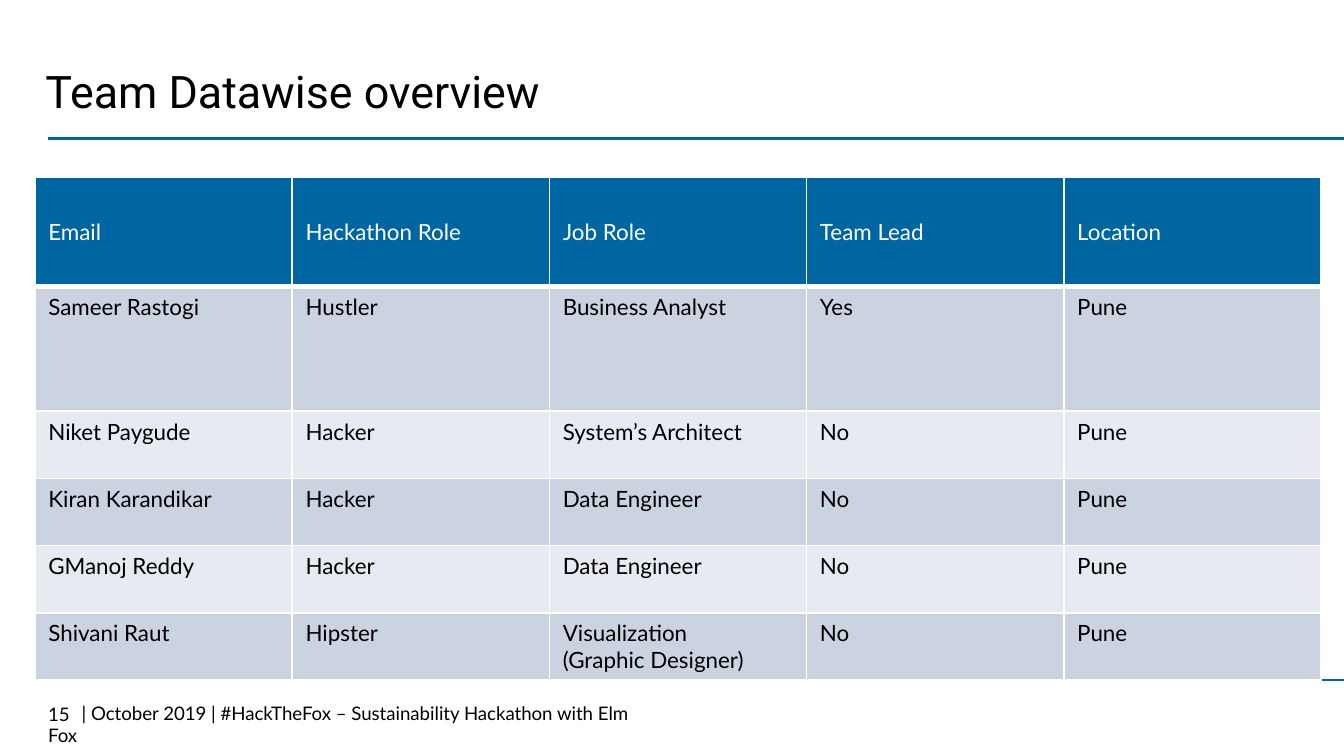
import dataclasses

import lxml.etree
import pptx
import pptx.dml.color
import pptx.enum.shapes
import pptx.enum.text
import pptx.oxml.ns
import pptx.util

Inches = pptx.util.Inches
Pt = pptx.util.Pt
Anchor = pptx.enum.text.MSO_ANCHOR
qn = pptx.oxml.ns.qn

SLIDE_WIDTH = 10
SLIDE_HEIGHT = SLIDE_WIDTH * 9 / 16
HEADERS = ["Email", "Hackathon Role", "Job Role", "Team Lead", "Location"]
MEMBERS = [
    ["Sameer Rastogi", "Hustler", "Business Analyst", "Yes", "Pune"],
    ["Niket Paygude", "Hacker", "System’s Architect", "No", "Pune"],
    ["Kiran Karandikar", "Hacker", "Data Engineer", "No", "Pune"],
    ["GManoj Reddy", "Hacker", "Data Engineer", "No", "Pune"],
    ["Shivani Raut", "Hipster", "Visualization\n(Graphic Designer)", "No", "Pune"],
]
ROW_HEIGHTS = [0.81, 0.93] + [0.5] * 4
TABLE_WIDTH = 9.57
COLUMN_WIDTH = TABLE_WIDTH / len(HEADERS)
HEADER_FILL = "0066A1"
BAND_FILLS = ["CCD3E0", "E7EAF0"]


@dataclasses.dataclass
class Label:
    text: str
    left: float
    top: float
    width: float
    height: float
    size: float = 10
    font: str = "Lato"
    anchor: Anchor = Anchor.MIDDLE
    indent: float = 0
    right_margin: float = 0.1


@dataclasses.dataclass
class Rule:
    left: float
    right: float
    y: float


LABELS = [
    Label("| October 2019 | #HackTheFox – Sustainability Hackathon with Elm Fox",
          0.26, 5.17, 4.53, 0.27, anchor=Anchor.TOP, indent=0.25, right_margin=0),
    Label("15", 0.26, 5.19, 0.49, 0.24),
    Label("Team Datawise overview", 0.24, 0.28, 9.57, 0.79, size=24, font="Roboto"),
]
RULES = [Rule(0.36, 10, 5.06), Rule(0.36, 10.01, 1.03)]


def color(value: str) -> pptx.dml.color.RGBColor:
    return pptx.dml.color.RGBColor.from_string(value)


def fill_text(frame, text: str, size: float, font: str, text_color: str) -> None:
    """Write the text, one paragraph per line, in a single style."""
    frame.text = text
    for para in frame.paragraphs:
        for span in para.runs:
            for name, value in {"size": Pt(size), "name": font}.items():
                setattr(span.font, name, value)
            span.font.color.rgb = color(text_color)


def draw_label(slide, label: Label) -> None:
    box = slide.shapes.add_textbox(Inches(label.left), Inches(label.top),
                                   Inches(label.width), Inches(label.height))
    frame = box.text_frame
    settings = {"word_wrap": True, "vertical_anchor": label.anchor,
                "margin_right": Inches(label.right_margin)}
    for name, value in settings.items():
        setattr(frame, name, value)
    fill_text(frame, label.text, label.size, label.font, "000000")
    if label.indent:
        properties = frame.paragraphs[0]._p.get_or_add_pPr()
        properties.set("indent", str(Inches(label.indent)))


def draw_rule(slide, rule: Rule) -> None:
    line = slide.shapes.add_connector(
        pptx.enum.shapes.MSO_CONNECTOR.STRAIGHT,
        Inches(rule.left), Inches(rule.y), Inches(rule.right), Inches(rule.y))
    line.line.color.rgb = color("00649D")
    line.line.width = Pt(1.25)
    lxml.etree.SubElement(line._element.spPr, qn("a:effectLst"))


def set_borders(cell, widths: dict[str, float]) -> None:
    """Give the cell white borders; widths in points by side, L, R, T, B."""
    properties = cell._tc.get_or_add_tcPr()
    for index, (side, width) in enumerate(widths.items()):
        border = lxml.etree.Element(qn(f"a:ln{side}"), w=str(Pt(width)))
        fill = lxml.etree.SubElement(border, qn("a:solidFill"))
        lxml.etree.SubElement(fill, qn("a:srgbClr"), val="FFFFFF")
        properties.insert(index, border)


def draw_team_table(slide) -> None:
    rows = [HEADERS] + MEMBERS
    table = slide.shapes.add_table(
        len(rows), len(HEADERS), Inches(0.26), Inches(1.32),
        Inches(TABLE_WIDTH), Inches(sum(ROW_HEIGHTS))).table
    for column in table.columns:
        column.width = Inches(COLUMN_WIDTH)
    for row, height in zip(table.rows, ROW_HEIGHTS):
        row.height = Inches(height)
    for row_index, texts in enumerate(rows):
        header = row_index == 0
        background = HEADER_FILL if header else BAND_FILLS[(row_index - 1) % 2]
        for column_index, text in enumerate(texts):
            cell = table.cell(row_index, column_index)
            fill_text(cell.text_frame, text, 12, "Lato",
                      "FFFFFF" if header else "000000")
            cell.vertical_anchor = Anchor.MIDDLE if header else Anchor.TOP
            cell.fill.solid()
            cell.fill.fore_color.rgb = color(background)
            set_borders(cell, {"L": 1, "R": 1, "T": 3 if row_index == 1 else 1,
                               "B": 3 if header else 1})


def main() -> None:
    deck = pptx.Presentation()
    deck.slide_width, deck.slide_height = Inches(SLIDE_WIDTH), Inches(SLIDE_HEIGHT)
    slide = deck.slides.add_slide(deck.slide_layouts[6])
    for rule in RULES:
        draw_rule(slide, rule)
    for label in LABELS:
        draw_label(slide, label)
    draw_team_table(slide)
    deck.save("out.pptx")


if __name__ == "__main__":
    main()
